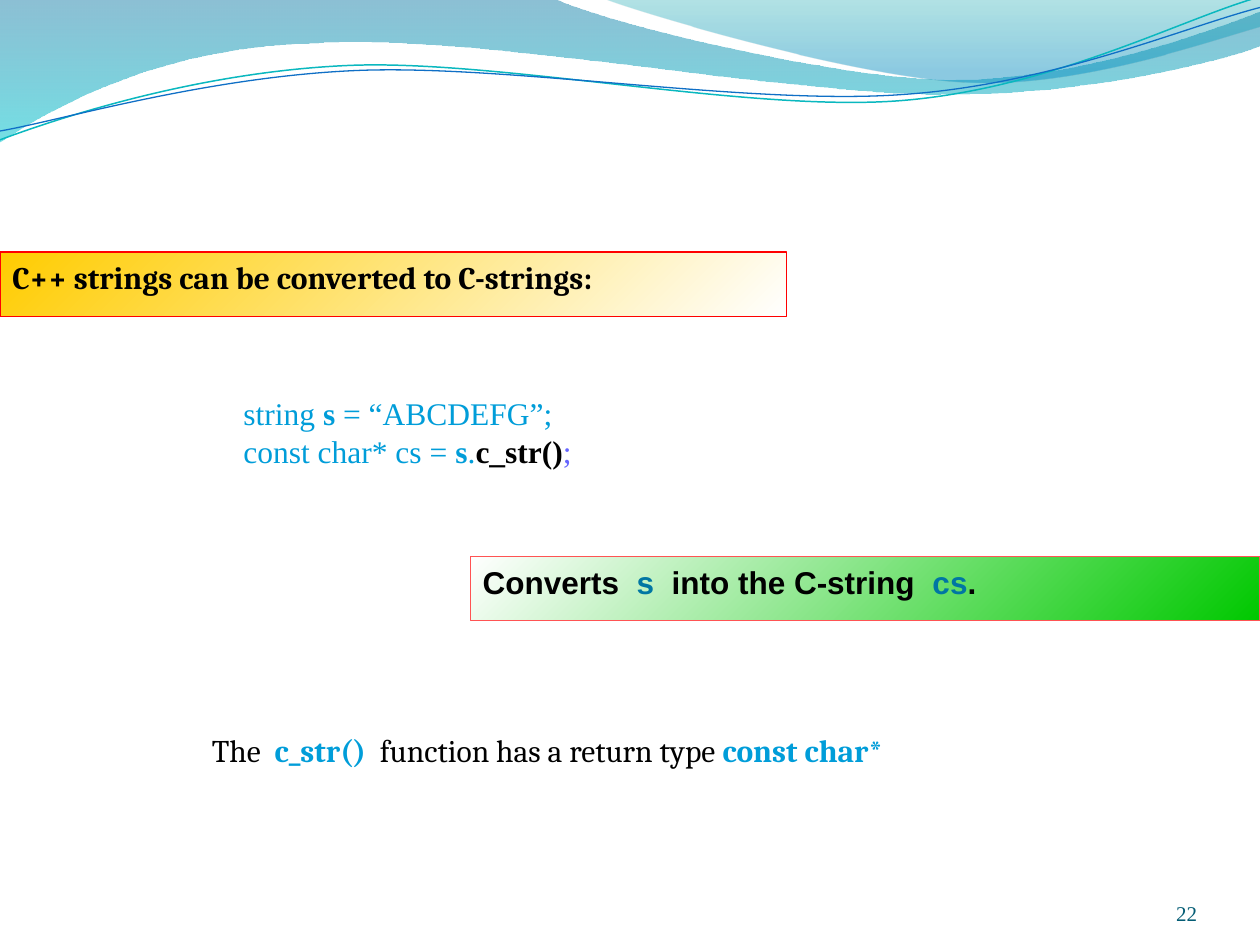
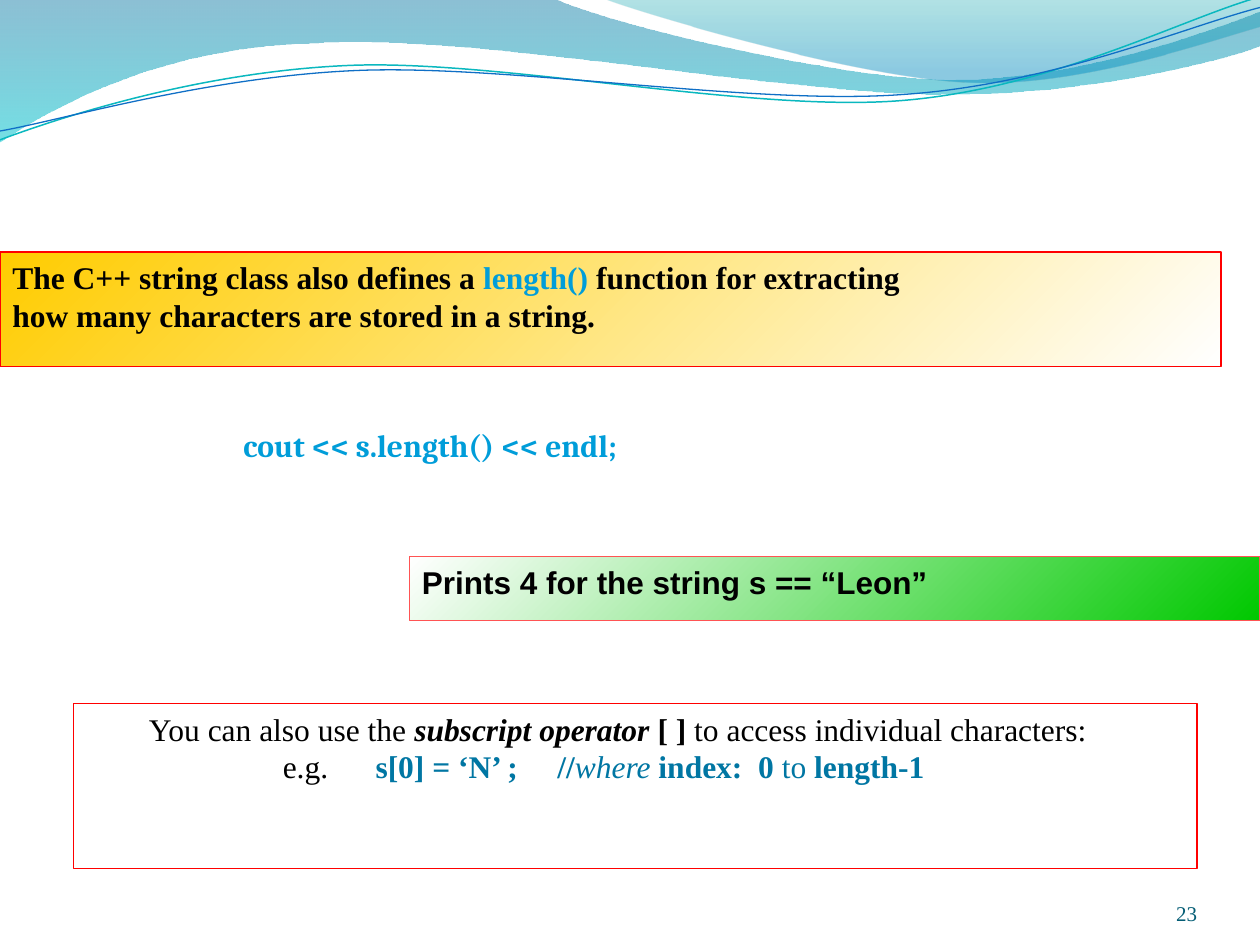
from dataclasses import dataclass
from math import cos, radians, sin
from typing import Optional

from lxml.etree import SubElement
from pptx import Presentation
from pptx.dml.color import RGBColor
from pptx.enum.shapes import MSO_SHAPE as Preset
from pptx.enum.text import MSO_ANCHOR as Anchor, PP_ALIGN as Align
from pptx.oxml.ns import qn
from pptx.util import Pt

COLORS = {
    "black": "000000", "white": "FFFFFF", "code": "009DD9", "term": "0076A3",
    "violet": "6666FF", "number": "045D75", "gold": "FFCC00", "green": "00C800",
    "red": "FF0000", "coral": "FF5353", "band_top": "0074A1", "band_low": "00C6CF",
    "crest_top": "00A1A9", "crest_low": "008BBF", "teal": "0AB8BF", "blue": "0F6FC6",
}
SERIF, SLAB, SANS = "Times New Roman", "Cambria", "Arial"
UNITS_PER_POINT = 100
TILT = 2.7


@dataclass(frozen=True)
class Stop:
    position: float
    color: str
    opacity: int = 100


@dataclass(frozen=True)
class Wave:
    start: tuple
    steps: tuple
    stops: tuple = ()
    line: Optional[str] = None
    weight: float = 0.75
    pivot: Optional[tuple] = None


@dataclass(frozen=True)
class Span:
    text: str
    color: str = "black"
    bold: bool = False
    italic: bool = False
    tracking: float = 0


@dataclass(frozen=True)
class Line:
    spans: tuple
    indent: float = 0


@dataclass(frozen=True)
class Panel:
    box: tuple
    lines: tuple
    font: str
    stops: tuple = ()
    border: Optional[str] = None


GOLD_FADE = (Stop(0, "gold"), Stop(1, "white"))
GREEN_FADE = (Stop(0, "white"), Stop(1, "green"))

WAVES = (
    Wave((0, 0), (
        (316.8, -0.7),
        (342.7, 12.2, 478.1, 45.4, 545.8, 45.4),
        (614.2, 45.4, 689.8, 18.7, 720, 6.5),
        (720.7, 25.9),
        (707.8, 31.7, 626.4, 54.7, 537.1, 54),
        (447.8, 54, 275, 20.2, 185, 24.5),
        (92.9, 25.9, 33.1, 59.8, -0.7, 81.4),
    ), (Stop(0, "band_top", 45), Stop(1, "band_low", 55))),
    Wave((344.9, -0.7), (
        (366.5, 7.9, 491, 44.6, 553.7, 46.8),
        (616.3, 49.7, 691.9, 23, 720, 15.1),
        (720, 0),
    ), (Stop(0, "crest_top", 30), Stop(0.8, "crest_low", 45))),
    Wave((0, 79.9), (
        (34.6, 67, 113.8, 41, 199.4, 37.4),
        (284.4, 33.8, 427, 64.1, 513.4, 57.6),
        (599.8, 51.1, 675.4, 10.8, 718.6, -1.4),
    ), line="teal", weight=0.85, pivot=(359.3, 41.4)),
    Wave((0, 74.9), (
        (33.8, 69.1, 118.1, 43.9, 203.8, 40.3),
        (290.2, 36.7, 429.8, 60.5, 516.2, 54),
        (601.9, 48.2, 677.5, 15.1, 720, 4.3),
    ), line="blue", pivot=(359.6, 42.5)),
)

SLIDES = {
    22: (
        Panel((60, 221.75, 630, 65.5), (
            Line((Span("string ", "code"), Span("s", "code", True),
                  Span(" = “ABCDEFG”;", "code")), 72),
            Line((Span("const char* cs = ", "code"), Span("s", "code", True),
                  Span(".", "code"), Span("c_str()", bold=True),
                  Span(";", "violet")), 72),
        ), SERIF),
        Panel((268.75, 318, 451.25, 36.75), (
            Line((Span("Converts  ", bold=True), Span("s", "term", True),
                  Span("  into the C-string  ", bold=True),
                  Span("cs", "term", True), Span(".", bold=True))),
        ), SANS, GREEN_FADE, "coral"),
        Panel((0, 144, 449.5, 36.75), (
            Line((Span("C++ strings can be converted to C-strings:", bold=True),)),
        ), SLAB, GOLD_FADE, "red"),
        Panel((114, 414, 516, 36.75), (
            Line((Span("The  "), Span("c_str()  ", "code", True),
                  Span("function has a return type "),
                  Span("const char*", "code", True))),
        ), SLAB),
    ),
    23: (
        Panel((60, 240, 630, 36), (
            Line((Span("cout << s.length() << endl;", "code", True),), 72),
        ), SLAB),
        Panel((234, 318, 486, 36.75), (
            Line((Span("Prints 4 for the string s == “Leon”", bold=True),)),
        ), SANS, GREEN_FADE, "coral"),
        Panel((0, 144, 697.75, 65.5), (
            Line((Span("The C++ string class also defines a ", bold=True),
                  Span("length()", "code", True),
                  Span(" function for extracting", bold=True))),
            Line((Span("how many characters are stored in a string.", bold=True),)),
        ), SERIF, GOLD_FADE, "red"),
        Panel((42, 402, 642, 94.5), (
            Line((Span("You can also use the "),
                  Span("subscript operator ", bold=True, italic=True),
                  Span("[ ] ", bold=True),
                  Span("to access individual characters:")), 36),
            Line((Span("e.g."), Span(" ", tracking=22.5),
                  Span("s[0] = ‘N’ ;", "term", True),
                  Span(" ", "term", True, tracking=18),
                  Span("//", "term", True), Span("where", "term", italic=True),
                  Span(" index:  0", "term", True), Span(" to ", "term"),
                  Span("length-1", "term", True)), 112.5),
        ), SERIF, border="red"),
    ),
}


def rgb(name: str) -> RGBColor:
    return RGBColor.from_string(COLORS[name])


def paint(shape, stops: tuple, angle: int, border: Optional[str], weight: float) -> None:
    shape.shadow.inherit = False
    if stops:
        shape.fill.gradient()
        shape.fill.gradient_angle = 360 - angle
        for target, stop in zip(shape.fill.gradient_stops, stops):
            target.position = stop.position
            target.color.rgb = rgb(stop.color)
        tints = shape._element.spPr.iter(qn("a:srgbClr"))
        for tint, stop in zip(tints, stops):
            if stop.opacity < 100:
                SubElement(tint, qn("a:alpha"), val=str(stop.opacity * 1000))
    else:
        shape.fill.background()
    if border:
        shape.line.color.rgb = rgb(border)
        shape.line.width = Pt(weight)
    else:
        shape.line.fill.background()


def outline(wave: Wave) -> list:
    points = [wave.start]
    for step in wave.steps:
        points += zip(step[::2], step[1::2])
    if wave.pivot:
        (px, py), c, s = wave.pivot, cos(radians(TILT)), sin(radians(TILT))
        points = [(px + (x - px) * c - (y - py) * s,
                   py + (x - px) * s + (y - py) * c) for x, y in points]
    return [(x * UNITS_PER_POINT, y * UNITS_PER_POINT) for x, y in points]


def bend(shape, steps: tuple) -> None:
    segments = iter(list(shape._element.iter(qn("a:lnTo"))))
    for step in steps:
        segment = next(segments)
        if len(step) == 6:
            segment.tag = qn("a:cubicBezTo")
            for _ in range(2):
                extra = next(segments)
                segment.append(extra[0])
                extra.getparent().remove(extra)


def draw_wave(slide, wave: Wave) -> None:
    start, *rest = outline(wave)
    builder = slide.shapes.build_freeform(*start, scale=Pt(1) / UNITS_PER_POINT)
    builder.add_line_segments(rest, close=bool(wave.stops))
    shape = builder.convert_to_shape()
    bend(shape, wave.steps)
    paint(shape, wave.stops, 90, wave.line, wave.weight)
    if wave.pivot:
        shape.rotation = 360 - TILT


def write_span(paragraph, span: Span, font: str, size: float) -> None:
    run = paragraph.add_run()
    run.text = span.text
    run.font.name = font
    run.font.size = Pt(size)
    run.font.bold = span.bold
    run.font.italic = span.italic
    run.font.color.rgb = rgb(span.color)
    if span.tracking:
        run._r.get_or_add_rPr().set("spc", str(round(span.tracking * 100)))


def draw_panel(slide, panel: Panel) -> None:
    box = [Pt(length) for length in panel.box]
    if panel.border:
        shape = slide.shapes.add_shape(Preset.RECTANGLE, *box)
        paint(shape, panel.stops, 45, panel.border, 0.75)
    else:
        shape = slide.shapes.add_textbox(*box)
    frame = shape.text_frame
    frame.word_wrap = True
    frame.vertical_anchor = Anchor.TOP
    for index, line in enumerate(panel.lines):
        paragraph = frame.add_paragraph() if index else frame.paragraphs[0]
        paragraph.alignment = Align.LEFT
        properties = paragraph._p.get_or_add_pPr()
        properties.set("marL", str(Pt(line.indent)))
        properties.set("indent", "0")
        for span in line.spans:
            write_span(paragraph, span, panel.font, 18)


def draw_number(slide, number: int) -> None:
    frame = slide.shapes.add_textbox(Pt(624), Pt(500.5), Pt(60), Pt(28.75)).text_frame
    frame.word_wrap = True
    frame.vertical_anchor = Anchor.BOTTOM
    frame.margin_left = frame.margin_right = Pt(0)
    frame.margin_top = frame.margin_bottom = Pt(0)
    paragraph = frame.paragraphs[0]
    paragraph.alignment = Align.RIGHT
    write_span(paragraph, Span(str(number), "number"), SERIF, 12)


def main() -> None:
    deck = Presentation()
    deck.slide_width, deck.slide_height = Pt(720), Pt(540)
    for number, panels in SLIDES.items():
        slide = deck.slides.add_slide(deck.slide_layouts[6])
        for wave in WAVES:
            draw_wave(slide, wave)
        draw_number(slide, number)
        for panel in panels:
            draw_panel(slide, panel)
    deck.save("out.pptx")


main()
